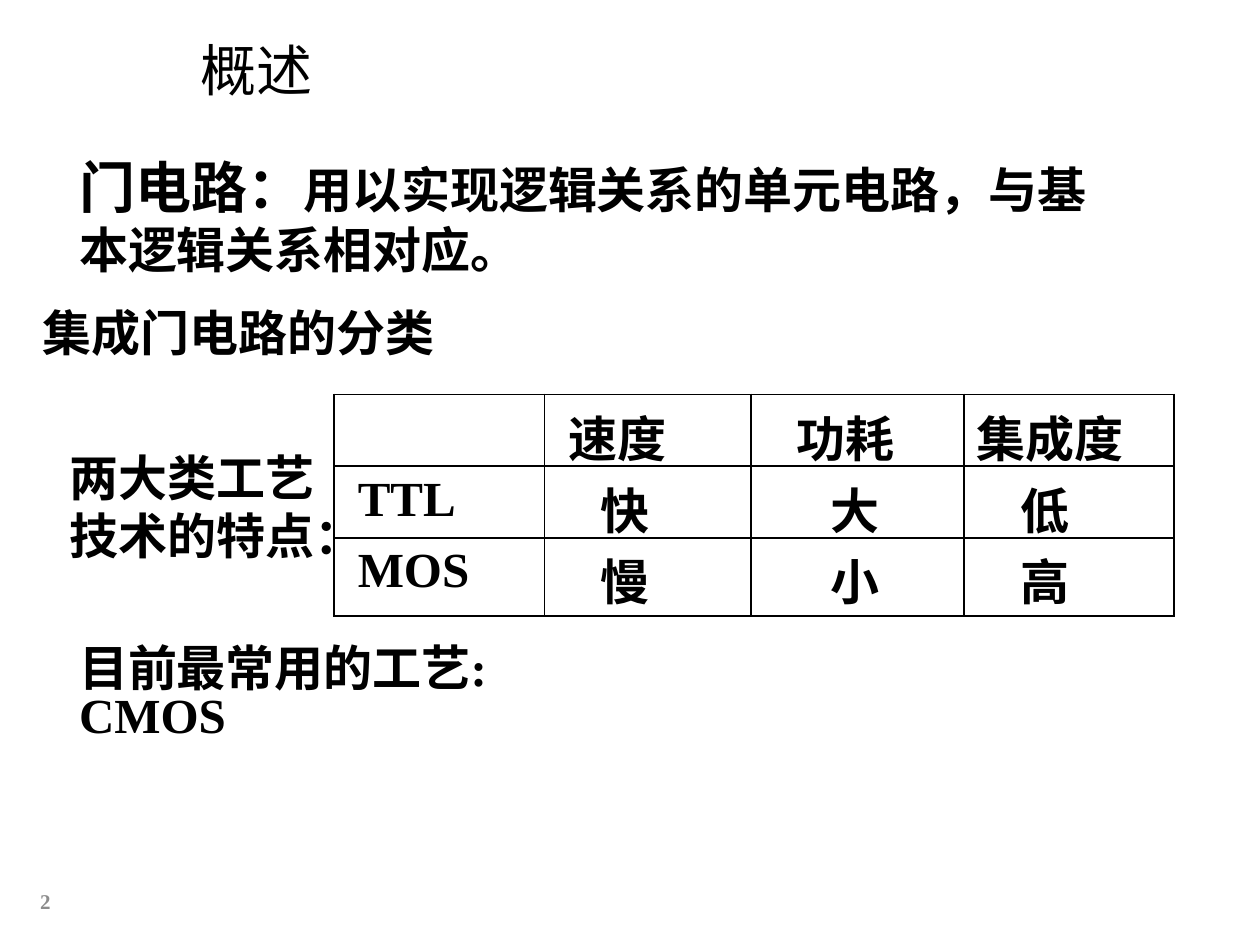
from dataclasses import dataclass

import pptx
import pptx.dml.color
import pptx.enum.text
import pptx.oxml
import pptx.oxml.ns
import pptx.util
from pptx.util import Inches

ANCHOR = pptx.enum.text.MSO_ANCHOR
ALIGN = pptx.enum.text.PP_ALIGN


@dataclass(frozen=True)
class Theme:
    ink: str = "000000"
    paper: str = "FFFFFF"
    muted: str = "8C8C8C"
    serif: str = "Times New Roman"
    sans: str = "Arial"
    chinese: str = "Noto Sans CJK SC"
    title_size: int = 32
    body_size: int = 28
    number_size: int = 12
    border_width: int = 1


THEME = Theme()


def color(value):
    return pptx.dml.color.RGBColor.from_string(value)


def style(paragraph, size=THEME.body_size, name=THEME.serif, bold=True, ink=THEME.ink):
    font = paragraph.font
    font.size = pptx.util.Pt(size)
    font.name = name
    font.bold = bold
    font.color.rgb = color(ink)
    properties = paragraph._p.get_or_add_pPr().find(pptx.oxml.ns.qn("a:defRPr"))
    east_asian = pptx.oxml.parse_xml(
        f'<a:ea {pptx.oxml.ns.nsdecls("a")} typeface="{THEME.chinese}"/>'
    )
    properties.find(pptx.oxml.ns.qn("a:latin")).addnext(east_asian)


def add_text(slide, box, text, align=ALIGN.LEFT, anchor=ANCHOR.TOP, spacing=None, **font):
    frame = slide.shapes.add_textbox(*box).text_frame
    frame.word_wrap = True
    frame.vertical_anchor = anchor
    paragraph = frame.paragraphs[0]
    paragraph.text = text
    paragraph.alignment = align
    if spacing:
        paragraph.line_spacing = spacing
    style(paragraph, **font)


def place_title(slide, box, text):
    title = slide.shapes.title
    title.left, title.top, title.width, title.height = box
    frame = title.text_frame
    frame.text = text
    frame.vertical_anchor = ANCHOR.MIDDLE
    paragraph = frame.paragraphs[0]
    paragraph.alignment = ALIGN.LEFT
    paragraph.line_spacing = 0.9
    style(paragraph, THEME.title_size, THEME.sans, False)


def add_definition(slide, box, term, meaning):
    frame = slide.shapes.add_textbox(*box).text_frame
    frame.word_wrap = True
    paragraph = frame.paragraphs[0]
    for text, size in ((term, THEME.title_size), (meaning, THEME.body_size)):
        run = paragraph.add_run()
        run.text = text
        run.font.size = pptx.util.Pt(size)
    style(paragraph, name=THEME.chinese)


def add_borders(cell):
    properties = cell._tc.get_or_add_tcPr()
    for index, side in enumerate(("lnL", "lnR", "lnT", "lnB")):
        border = pptx.oxml.parse_xml(
            f'<a:{side} {pptx.oxml.ns.nsdecls("a")} w="{pptx.util.Pt(THEME.border_width)}">'
            f'<a:solidFill><a:srgbClr val="{THEME.ink}"/></a:solidFill></a:{side}>'
        )
        properties.insert(index, border)


def add_comparison(slide, box, column_widths, row_heights, rows, indents):
    table = slide.shapes.add_table(len(rows), len(rows[0]), *box).table
    table.first_row = False
    table.horz_banding = False
    for column, width in zip(table.columns, column_widths):
        column.width = Inches(width)
    for row, height in zip(table.rows, row_heights):
        row.height = Inches(height)
    for row_index, (texts, row_indents) in enumerate(zip(rows, indents)):
        for column_index, (text, indent) in enumerate(zip(texts, row_indents)):
            cell = table.cell(row_index, column_index)
            cell.fill.solid()
            cell.fill.fore_color.rgb = color(THEME.paper)
            cell.margin_left = Inches(indent)
            add_borders(cell)
            if text:
                paragraph = cell.text_frame.paragraphs[0]
                paragraph.text = text
                style(paragraph)


def main():
    presentation = pptx.Presentation()
    presentation.slide_width = Inches(10)
    presentation.slide_height = Inches(7.5)
    slide = presentation.slides.add_slide(presentation.slide_layouts[5])

    def box(*lengths):
        return [Inches(length) for length in lengths]

    place_title(slide, box(1.49, 0.29, 3.58, 0.58), "概述")
    add_text(slide, box(0, 6.95, 0.5, 0.4), "2", ALIGN.RIGHT, ANCHOR.MIDDLE,
             size=THEME.number_size, ink=THEME.muted)
    add_text(slide, box(0.24, 2.35, 4.83, 0.57), "集成门电路的分类")
    add_text(slide, box(0.4, 3.5, 2.25, 1.03), "两大类工艺技术的特点：", ALIGN.CENTER)
    value_indents = (0.19, 0.45, 0.63, 0.45)
    add_comparison(
        slide,
        box(2.65, 3.13, 6.67, 1.76),
        (1.67, 1.64, 1.69, 1.67),
        (0.57, 0.57, 0.62),
        (("", "速度", "功耗", "集成度"), ("TTL", "快", "大", "低"), ("MOS", "慢", "小", "高")),
        ((0.1, 0.19, 0.36, 0.1), value_indents, value_indents),
    )
    add_text(slide, box(0.53, 5.1, 5.06, 0.48), "目前最常用的工艺:\vCMOS", spacing=0.8)
    add_definition(slide, box(0.53, 1.16, 8.54, 1.11), "门电路：",
                   "用以实现逻辑关系的单元电路，与基本逻辑关系相对应。")
    presentation.save("out.pptx")


if __name__ == "__main__":
    main()
